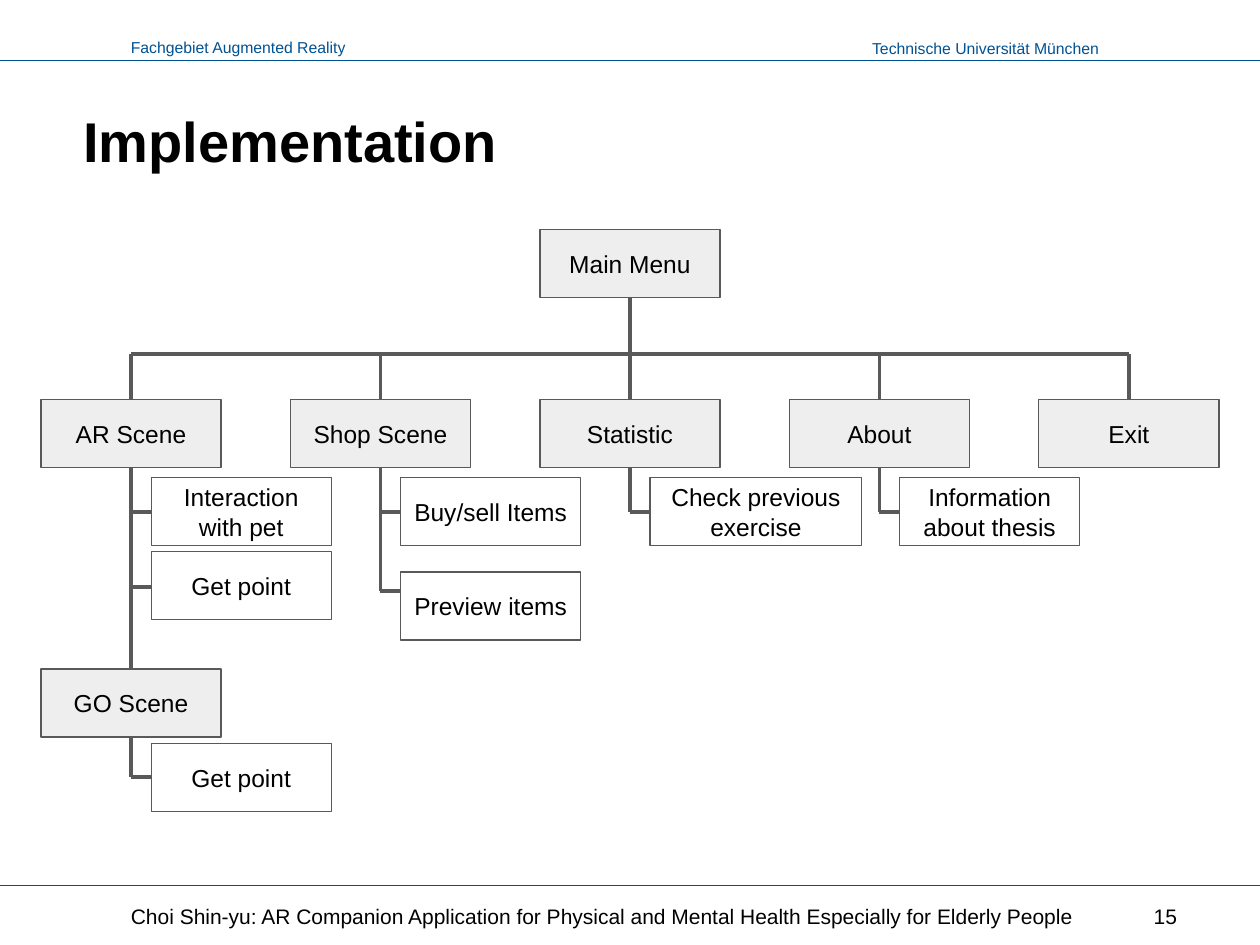
import pptx
import pptx.util
import pptx.dml.color
import pptx.enum.shapes
import pptx.enum.text
import pptx.oxml.ns
import lxml.etree
from dataclasses import dataclass

Inches = pptx.util.Inches
ALIGN = pptx.enum.text.PP_ALIGN
ANCHOR = pptx.enum.text.MSO_ANCHOR

# Content: each item is (text, top, width, height at which its branch joins)
TITLE = "Implementation"
HEADERS = [  # text, left, top, width
    ("Fachgebiet Augmented Reality", 0.91, 0.25, 1.93),
    ("Technische Universität München", 6.81, 0.26, 2.01),
]
FOOTER = "Choi Shin-yu: AR Companion Application for Physical and Mental Health Especially for Elderly People"
PAGE_NUMBER = "15"
ROOT = "Main Menu"
SCENES = [
    ("AR Scene", [("Interaction with pet", 3.79, 1.43, 4.06),
                  ("Get point", 4.38, 1.43, 4.66)]),
    ("Shop Scene", [("Buy/sell Items", 3.79, 1.43, 4.06),
                    ("Preview items", 4.54, 1.43, 4.69)]),
    ("Statistic", [("Check previous exercise", 3.79, 1.68, 4.06)]),
    ("About", [("Information about thesis", 3.79, 1.43, 4.06)]),
    ("Exit", []),
]
SUBSCENE = ("GO Scene", [("Get point", 5.9, 1.43, 6.17)])


@dataclass
class Theme:
    font: str = "Arial"
    blue: str = "005293"
    black: str = "000000"
    stroke: str = "595959"
    scene: str = "EEEEEE"
    item: str = "FFFFFF"
    title_size: float = 32
    node_size: float = 14
    footer_size: float = 12
    header_size: float = 9
    thin: float = 0.75
    thick: float = 2.25


THEME = Theme()

# Layout of the tree
BOX_WIDTH, BOX_HEIGHT = 1.43, 0.54
ROOT_TOP, BUS, SCENE_TOP, SUBSCENE_TOP = 1.82, 2.81, 3.17, 5.31
FIRST_CENTER, PITCH, INDENT = 1.04, 1.98, 0.16
CENTERS = [FIRST_CENTER + PITCH * index for index in range(len(SCENES))]


def color(code):
    return pptx.dml.color.RGBColor.from_string(code)


def write(shape, text, size, ink=THEME.black, bold=False, align=ALIGN.LEFT,
          anchor=ANCHOR.MIDDLE, inset=0.05, wrap=True):
    frame = shape.text_frame
    frame.word_wrap = wrap
    frame.vertical_anchor = anchor
    frame.margin_left = frame.margin_right = Inches(0.1)
    frame.margin_top = frame.margin_bottom = Inches(inset)
    para = frame.paragraphs[0]
    para.alignment = align
    span = para.add_run()
    span.text = text
    span.font.name = THEME.font
    span.font.size = pptx.util.Pt(size)
    span.font.bold = bold
    span.font.color.rgb = color(ink)


def add_text(page, text, left, top, width, height, **style):
    box = page.shapes.add_textbox(*map(Inches, (left, top, width, height)))
    write(box, text, **style)


def add_line(page, x1, y1, x2, y2, ink=THEME.stroke, weight=THEME.thick):
    line = page.shapes.add_connector(
        pptx.enum.shapes.MSO_CONNECTOR.STRAIGHT, *map(Inches, (x1, y1, x2, y2)))
    line.line.color.rgb = color(ink)
    line.line.width = pptx.util.Pt(weight)
    lxml.etree.SubElement(line._element.spPr, pptx.oxml.ns.qn("a:effectLst"))


def add_node(page, text, left, top, width=BOX_WIDTH, fill=THEME.scene):
    box = page.shapes.add_shape(
        pptx.enum.shapes.MSO_SHAPE.RECTANGLE,
        *map(Inches, (left, top, width, BOX_HEIGHT)))
    box.shadow.inherit = False
    box.fill.solid()
    box.fill.fore_color.rgb = color(fill)
    box.line.color.rgb = color(THEME.stroke)
    box.line.width = pptx.util.Pt(THEME.thin)
    write(box, text, THEME.node_size, align=ALIGN.CENTER, inset=0.1)


def add_branch(page, name, items, center, top, trunk_end=None):
    """Draw a scene box with its items hanging from a trunk below it."""
    if items:
        end = trunk_end or items[-1][3]
        add_line(page, center, top + BOX_HEIGHT, center, end)
    for text, item_top, width, joint in items:
        add_line(page, center, joint, center + INDENT, joint)
        add_node(page, text, center + INDENT, item_top, width, THEME.item)
    add_node(page, name, center - BOX_WIDTH / 2, top)


def main():
    deck = pptx.Presentation()
    deck.slide_width, deck.slide_height = Inches(10), Inches(7.5)
    page = deck.slides.add_slide(deck.slide_layouts[5])

    # Header and footer
    for y in (0.48, 7.03):
        add_line(page, 0, y, 10, y, THEME.blue, THEME.thin)
    for text, left, top, width in HEADERS:
        add_text(page, text, left, top, width, 0.25, size=THEME.header_size,
                 ink=THEME.blue, align=ALIGN.RIGHT, anchor=ANCHOR.TOP, wrap=False)
    add_text(page, FOOTER, 0.94, 7.11, 8.12, 0.33, size=THEME.footer_size)
    add_text(page, PAGE_NUMBER, 7.36, 7.11, 2.08, 0.33,
             size=THEME.footer_size, align=ALIGN.RIGHT)

    # Title
    title = page.shapes.title
    title.left, title.top, title.width, title.height = map(
        Inches, (0.56, 0.76, 8.89, 0.67))
    write(title, TITLE, THEME.title_size, bold=True, anchor=ANCHOR.BOTTOM)

    # Main menu and the bus to the scenes
    middle = CENTERS[len(CENTERS) // 2]
    add_line(page, middle, ROOT_TOP + BOX_HEIGHT, middle, BUS)
    add_line(page, CENTERS[0], BUS, CENTERS[-1], BUS)
    add_node(page, ROOT, middle - BOX_WIDTH / 2, ROOT_TOP)

    # Scenes; the first trunk runs on to the subscene
    for index, ((name, items), center) in enumerate(zip(SCENES, CENTERS)):
        add_line(page, center, BUS, center, SCENE_TOP)
        add_branch(page, name, items, center, SCENE_TOP,
                   SUBSCENE_TOP if index == 0 else None)
    add_branch(page, *SUBSCENE, CENTERS[0], SUBSCENE_TOP)

    deck.save("out.pptx")


if __name__ == "__main__":
    main()
